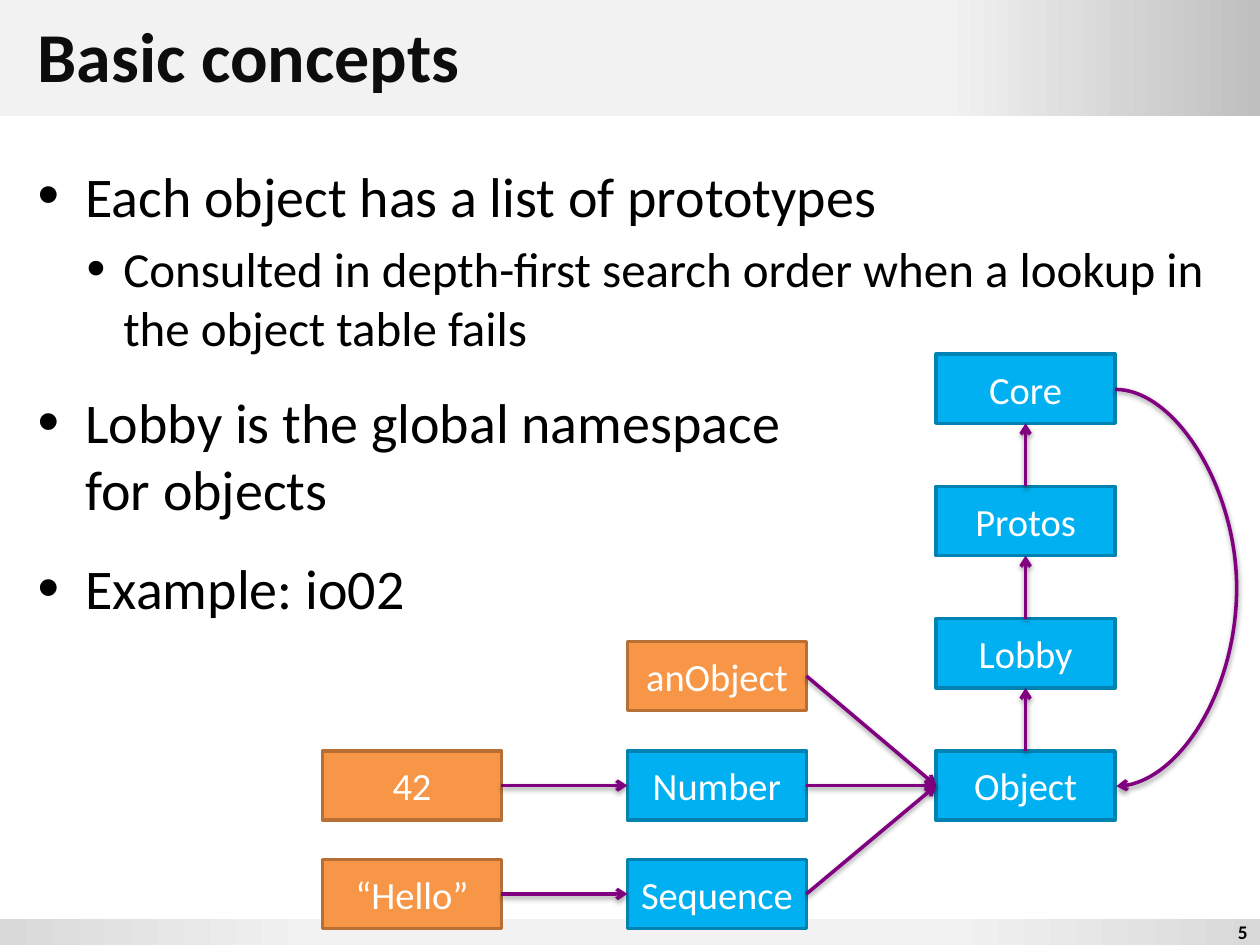
import lxml.etree
import pptx
import pptx.dml.color
import pptx.enum.shapes
import pptx.enum.text
import pptx.oxml
import pptx.oxml.ns
import pptx.util

Inches = pptx.util.Inches
Pt = pptx.util.Pt
RGBColor = pptx.dml.color.RGBColor
Align = pptx.enum.text.PP_ALIGN
Anchor = pptx.enum.text.MSO_ANCHOR
Shape = pptx.enum.shapes.MSO_SHAPE
Connector = pptx.enum.shapes.MSO_CONNECTOR
qn = pptx.oxml.ns.qn

BLACK = RGBColor(0x00, 0x00, 0x00)
INK = RGBColor(0x0D, 0x0D, 0x0D)
WHITE = RGBColor(0xFF, 0xFF, 0xFF)
PALE = RGBColor(0xF2, 0xF2, 0xF2)
LIGHT = RGBColor(0xD9, 0xD9, 0xD9)
SILVER = RGBColor(0xBF, 0xBF, 0xBF)
BLUE = RGBColor(0x00, 0xB0, 0xF0)
BLUE_EDGE = RGBColor(0x00, 0x82, 0xB2)
ORANGE = RGBColor(0xF7, 0x96, 0x46)
ORANGE_EDGE = RGBColor(0xB7, 0x6F, 0x34)
PURPLE = RGBColor(0x80, 0x00, 0x80)

TOP, LEFT, BOTTOM, RIGHT = range(4)
BOX_WIDTH, BOX_HEIGHT = 1.42, 0.55


def add_element(parent, tag, **attributes):
    return lxml.etree.SubElement(parent, qn(tag), attributes)


def write(para, text, size, color=BLACK, bold=False, align=Align.LEFT,
          before=0, indent=None, level=0):
    para.text = text
    para.alignment = align
    para.level = level
    para.space_before = Pt(before)
    for span in para.runs:
        span.font.name = "Calibri"
        span.font.size = Pt(size)
        span.font.bold = bold
        span.font.color.rgb = color
    if indent:
        margin, hanging = indent
        properties = para._p.get_or_add_pPr()
        properties.set("marL", str(Inches(margin)))
        properties.set("indent", str(Inches(-hanging)))
        add_element(properties, "a:buSzPct", val="110000")
        add_element(properties, "a:buFont", typeface="Arial")
        add_element(properties, "a:buChar", char="•")


class ConceptPage:
    def __init__(self, deck):
        self.page = deck.slides.add_slide(deck.slide_layouts[6])

    def band(self, top, height, stops):
        band = self.page.shapes.add_shape(
            Shape.RECTANGLE, 0, Inches(top), Inches(10), Inches(height))
        band.shadow.inherit = False
        band.line.fill.background()
        band.fill.gradient()
        band.fill.gradient_angle = 0
        stop_list = band._element.spPr.find(".//" + qn("a:gsLst"))
        for stop in list(stop_list):
            stop_list.remove(stop)
        for position, color in stops:
            stop = add_element(stop_list, "a:gs", pos=str(position * 1000))
            add_element(stop, "a:srgbClr", val=str(color))

    def text(self, left, top, width, height, anchor=Anchor.MIDDLE):
        box = self.page.shapes.add_textbox(
            Inches(left), Inches(top), Inches(width), Inches(height))
        box.text_frame.word_wrap = True
        box.text_frame.vertical_anchor = anchor
        return box.text_frame

    def box(self, text, left, top, fill=BLUE, edge=BLUE_EDGE):
        box = self.page.shapes.add_shape(
            Shape.RECTANGLE, Inches(left), Inches(top),
            Inches(BOX_WIDTH), Inches(BOX_HEIGHT))
        box.shadow.inherit = False
        box.fill.solid()
        box.fill.fore_color.rgb = fill
        box.line.color.rgb = edge
        box.line.width = Pt(2)
        box.text_frame.word_wrap = False
        box.text_frame.vertical_anchor = Anchor.MIDDLE
        write(box.text_frame.paragraphs[0], text, 22, WHITE, align=Align.CENTER)
        return box

    def style_arrow(self, arrow):
        arrow.line.color.rgb = PURPLE
        arrow.line.width = Pt(2)
        add_element(arrow.line._get_or_add_ln(), "a:tailEnd", type="arrow")
        effects = add_element(arrow._element.spPr, "a:effectLst")
        shadow = add_element(effects, "a:outerShdw", blurRad=str(Pt(3.1)),
                             dist=str(Pt(1.6)), dir="5400000", rotWithShape="0")
        color = add_element(shadow, "a:srgbClr", val=str(BLACK))
        add_element(color, "a:alpha", val="38000")

    def arrow(self, source, source_side, target, target_side):
        arrow = self.page.shapes.add_connector(Connector.STRAIGHT, 0, 0, 0, 0)
        arrow.begin_connect(source, source_side)
        arrow.end_connect(target, target_side)
        self.style_arrow(arrow)

    def loop(self, left, top, right, bottom, bulge):
        loop = self.page.shapes.add_connector(
            Connector.CURVE, Inches(left), Inches(top), Inches(right), Inches(bottom))
        ratio = round(bulge / (right - left) * 100000)
        geometry = loop._element.spPr.find(qn("a:prstGeom"))
        guides = geometry.find(qn("a:avLst"))
        if guides is None:
            guides = add_element(geometry, "a:avLst")
        add_element(guides, "a:gd", name="adj1", fmla=f"val {ratio}")
        self.style_arrow(loop)


def main():
    deck = pptx.Presentation()
    deck.slide_width = Inches(10)
    deck.slide_height = Inches(7.5)
    concepts = ConceptPage(deck)

    concepts.band(0, 0.92, [(75, PALE), (100, SILVER)])
    concepts.band(7.29, 0.21, [(0, LIGHT), (25, PALE), (75, PALE), (100, LIGHT)])
    number = concepts.text(9.49, 7.29, 0.51, 0.21)
    write(number.paragraphs[0], "5", 11, bold=True, align=Align.RIGHT)
    title = concepts.text(0.2, 0, 9.61, 0.86)
    write(title.paragraphs[0], "Basic concepts", 40, INK, bold=True)

    body = concepts.text(0.2, 1.23, 9.61, 5.99, anchor=Anchor.TOP)
    outer = dict(size=32, indent=(0.38, 0.38))
    inner = dict(size=28, indent=(0.68, 0.29), level=1)
    write(body.paragraphs[0], "Each object has a list of prototypes", before=6.4, **outer)
    write(body.add_paragraph(), "Consulted in depth-first search order when a lookup in "
          "the object table fails", before=5.6, **inner)
    for text in ("Lobby is the global namespace\vfor objects", "Example: io02"):
        write(body.add_paragraph(), text, before=18, **outer)

    values_left, types_left, chain_left = 2.56, 4.98, 7.43
    middle_row, bottom_row = 5.96, 6.82
    orange = dict(fill=ORANGE, edge=ORANGE_EDGE)
    chain = [concepts.box(name, chain_left, middle_row - 1.05 * step)
             for step, name in enumerate(("Object", "Lobby", "Protos", "Core"))]
    an_object = concepts.box("anObject", types_left, 5.09, **orange)
    number_type = concepts.box("Number", types_left, middle_row)
    sequence = concepts.box("Sequence", types_left, bottom_row)
    answer = concepts.box("42", values_left, middle_row, **orange)
    hello = concepts.box("“Hello”", values_left, bottom_row, **orange)

    for lower, upper in zip(chain, chain[1:]):
        concepts.arrow(lower, TOP, upper, BOTTOM)
    for source in (an_object, number_type, sequence):
        concepts.arrow(source, RIGHT, chain[0], LEFT)
    for value, kind in ((answer, number_type), (hello, sequence)):
        concepts.arrow(value, RIGHT, kind, LEFT)
    concepts.loop(8.85, 3.09, 8.86, 6.24, bulge=0.98)

    deck.save("out.pptx")


if __name__ == "__main__":
    main()
